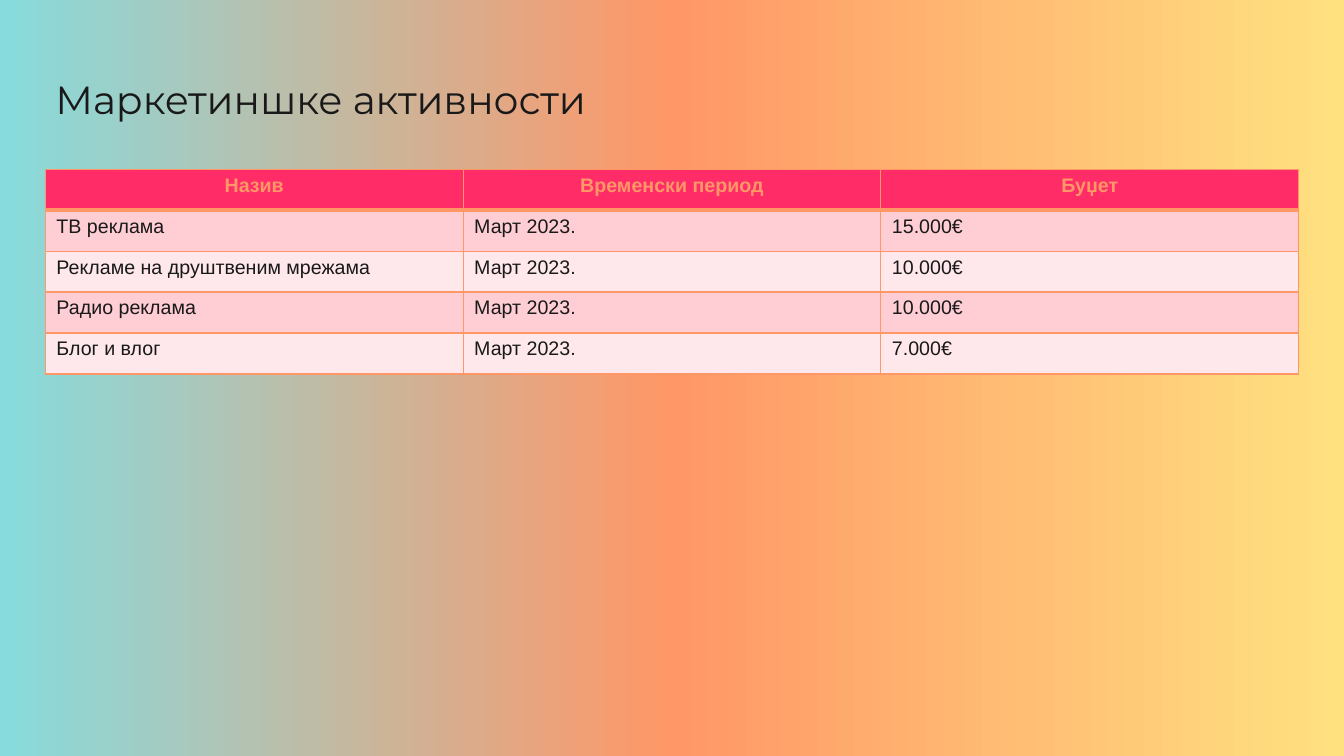
from copy import deepcopy

from lxml.etree import SubElement
from pptx import Presentation
from pptx.dml.color import RGBColor
from pptx.enum.text import MSO_ANCHOR, PP_ALIGN
from pptx.oxml.ns import qn
from pptx.util import Inches, Pt

# Content
TITLE = "Маркетиншке активности"
ROWS = [
    ("Назив", "Временски период", "Буџет"),
    ("ТВ реклама", "Март 2023.", "15.000€"),
    ("Рекламе на друштвеним мрежама", "Март 2023.", "10.000€"),
    ("Радио реклама", "Март 2023.", "10.000€"),
    ("Блог и влог", "Март 2023.", "7.000€"),
]


class Theme:
    background = [(0, "87DBDD"), (0.5, "FF9767"), (1, "FFE180")]
    text, accent, header = "191919", "FF9767", "FF2C68"
    bands = ("FFCDD4", "FFE8EB")
    title_font, table_font = "Montserrat", "Arial"
    title_size, table_size = Pt(28), Pt(14)
    thin, thick = Pt(1), Pt(3)


# Layout, in inches
WIDTH, HEIGHT = 13.33, 7.5
MARGIN = 0.45
CONTENT_WIDTH = WIDTH - 2 * MARGIN
TITLE_TOP, TITLE_HEIGHT = 0.65, 0.84
TABLE_TOP, TABLE_HEIGHT = 1.68, 2.03


def style_font(font, name, size, color, bold=False):
    font.name, font.size, font.bold = name, size, bold
    font.color.rgb = RGBColor.from_string(color)


def paint_background(slide, stops):
    fill = slide.background.fill
    fill.gradient()
    fill.gradient_angle = 0
    stop_list = slide.element.find(".//" + qn("a:gsLst"))
    while len(stop_list) < len(stops):
        stop_list.append(deepcopy(stop_list[0]))
    for stop, (position, color) in zip(fill.gradient_stops, stops):
        stop.position = position
        stop.color.rgb = RGBColor.from_string(color)


def add_borders(cell, color, widths):
    properties = cell._tc.get_or_add_tcPr()
    for side, width in widths.items():
        line = SubElement(properties, qn("a:ln" + side), w=str(width))
        solid = SubElement(line, qn("a:solidFill"))
        SubElement(solid, qn("a:srgbClr"), val=color)


deck = Presentation()
deck.slide_width, deck.slide_height = Inches(WIDTH), Inches(HEIGHT)
slide = deck.slides.add_slide(deck.slide_layouts[5])
paint_background(slide, Theme.background)

# Title
title = slide.shapes.title
title.left, title.top = Inches(MARGIN), Inches(TITLE_TOP)
title.width, title.height = Inches(CONTENT_WIDTH), Inches(TITLE_HEIGHT)
frame = title.text_frame
frame.text = TITLE
frame.vertical_anchor = MSO_ANCHOR.TOP
frame.margin_left = frame.margin_right = Inches(0.1)
frame.margin_top = frame.margin_bottom = Inches(0.1)
para = frame.paragraphs[0]
para.alignment = PP_ALIGN.LEFT
style_font(para.font, Theme.title_font, Theme.title_size, Theme.text)

# Activities table
table = slide.shapes.add_table(
    len(ROWS), len(ROWS[0]), Inches(MARGIN), Inches(TABLE_TOP),
    Inches(CONTENT_WIDTH), Inches(TABLE_HEIGHT),
).table
for row, values in enumerate(ROWS):
    is_header = row == 0
    fill_color = Theme.header if is_header else Theme.bands[(row - 1) % 2]
    text_color = Theme.accent if is_header else Theme.text
    borders = {
        "L": Theme.thin,
        "R": Theme.thin,
        "T": Theme.thick if row == 1 else Theme.thin,
        "B": Theme.thick if is_header else Theme.thin,
    }
    for column, value in enumerate(values):
        cell = table.cell(row, column)
        cell.text = value
        cell.margin_left = cell.margin_right = Inches(0.11)
        cell.margin_top = cell.margin_bottom = Inches(0.05)
        add_borders(cell, Theme.accent, borders)
        cell.fill.solid()
        cell.fill.fore_color.rgb = RGBColor.from_string(fill_color)
        para = cell.text_frame.paragraphs[0]
        para.alignment = PP_ALIGN.CENTER if is_header else PP_ALIGN.LEFT
        style_font(para.font, Theme.table_font, Theme.table_size, text_color, is_header)

deck.save("out.pptx")
